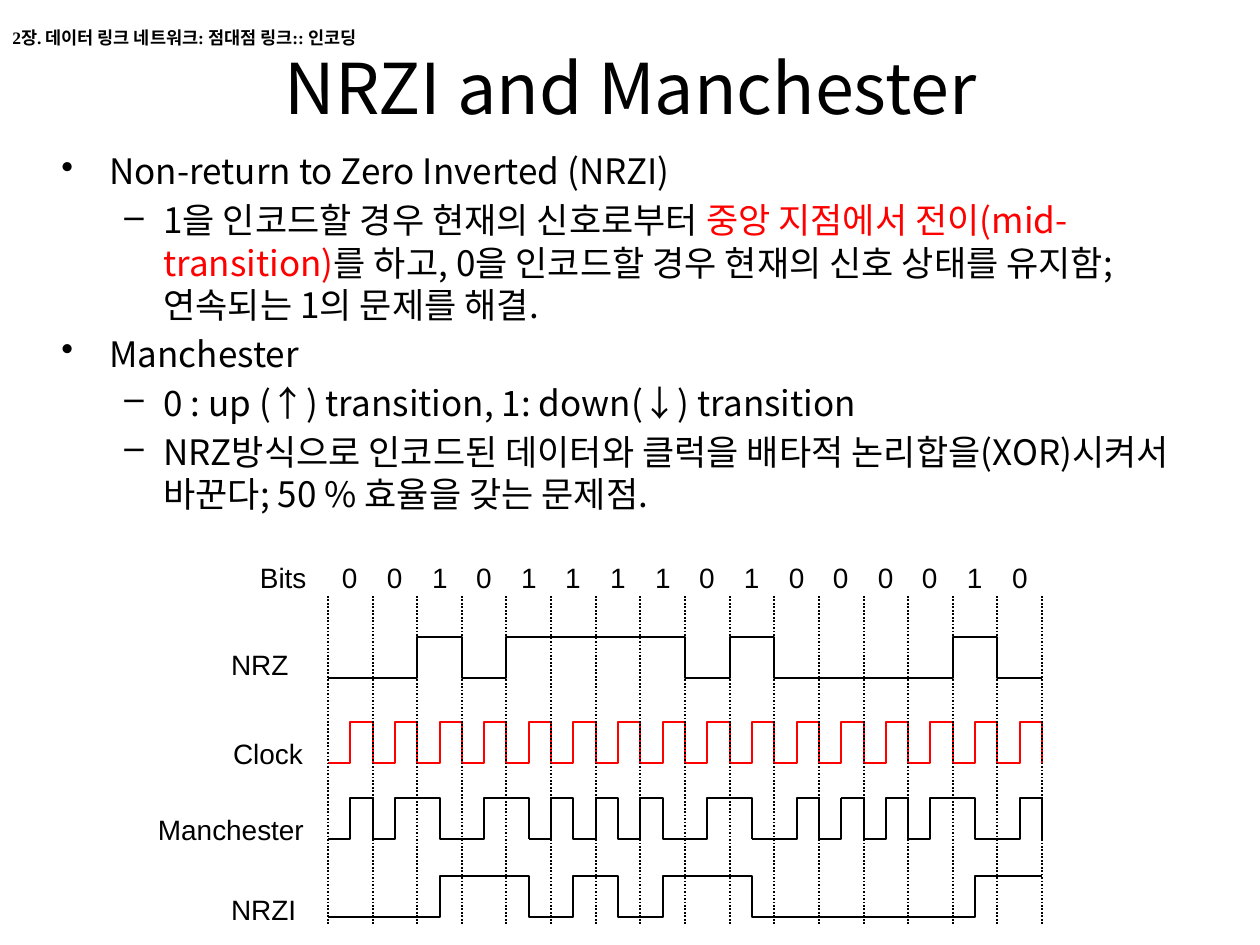
from dataclasses import dataclass
from itertools import pairwise
from typing import Sequence

from lxml.etree import SubElement
from pptx import Presentation
from pptx.dml.color import RGBColor
from pptx.enum.dml import MSO_LINE
from pptx.enum.shapes import MSO_CONNECTOR
from pptx.enum.text import MSO_ANCHOR, MSO_AUTO_SIZE, PP_ALIGN
from pptx.oxml.ns import qn
from pptx.util import Emu, Pt

EMU_PER_PX = 914400 / 126


@dataclass(frozen=True)
class Theme:
    ink: RGBColor = RGBColor(0, 0, 0)
    accent: RGBColor = RGBColor(255, 0, 0)
    text_font: str = "Noto Sans CJK KR"
    label_font: str = "Arial"
    header_font: str = "Times New Roman"
    title_size: int = 40
    body_size: int = 20
    body_line: int = 24
    label_size: int = 16
    header_size: int = 10
    line_width: int = 1


THEME = Theme()


@dataclass(frozen=True)
class Span:
    text: str
    color: RGBColor = THEME.ink


@dataclass(frozen=True)
class Bullet:
    level: int
    spans: tuple[Span, ...]


@dataclass(frozen=True)
class BulletStyle:
    mark: str
    margin: int
    hanging: int


@dataclass(frozen=True)
class Label:
    text: str
    left: int
    top: int
    width: int


@dataclass(frozen=True)
class Waveform:
    """Levels per half bit plus the closing level; cuts are half-bit positions."""
    top: int
    levels: Sequence[int]
    cuts: Sequence[int]
    color: RGBColor = THEME.ink


BULLET_STYLES = (BulletStyle("•", 48, 48), BulletStyle("–", 102, 39))
BULLETS = (
    Bullet(0, (Span("Non-return to Zero Inverted (NRZI)"),)),
    Bullet(1, (
        Span("1을 인코드할 경우 현재의 신호로부터 "),
        Span("중앙 지점에서 전이(mid-transition)", THEME.accent),
        Span("를 하고, 0을 인코드할 경우 현재의 신호 상태를 유지함; 연속되는 1의 문제를 해결."),
    )),
    Bullet(0, (Span("Manchester"),)),
    Bullet(1, (Span("0 : up (↑) transition, 1: down(↓) transition"),)),
    Bullet(1, (Span("NRZ방식으로 인코드된 데이터와 클럭을 배타적 논리합을(XOR)시켜서 바꾼다; "
                    "50 % 효율을 갖는 문제점."),)),
)

BITS = "0010111101000010"
HALVES = 2 * len(BITS)
DIAGRAM_LEFT, DIAGRAM_WIDTH = 328, 714
GRID_TOP, GRID_BOTTOM = 596, 925
WAVE_HEIGHT = 41
BIT_TOP, BIT_WIDTH, LABEL_HEIGHT = 561, 16, 32
LABELS = (
    Label("Bits", 260, BIT_TOP, 48),
    Label("NRZ", 231, 648, 59),
    Label("Clock", 233, 737, 72),
    Label("Manchester", 158, 813, 150),
    Label("NRZI", 231, 893, 67),
)


def px(length: float) -> Emu:
    return Emu(round(length * EMU_PER_PX))


def half_bit_x(position: int) -> int:
    return round(DIAGRAM_LEFT + DIAGRAM_WIDTH * position / HALVES)


def encode_waveforms() -> list[Waveform]:
    nrz = [int(bit) for bit in BITS for _ in range(2)]
    clock = [0, 1] * len(BITS)
    manchester = [data ^ tick for data, tick in zip(nrz, clock)]
    nrzi, level = [], 0
    for bit in BITS:
        nrzi.append(level)
        level ^= int(bit)
        nrzi.append(level)
    whole = (0, HALVES)
    return [
        Waveform(637, nrz + nrz[-1:], whole),
        Waveform(722, clock + [0], range(0, HALVES + 1, 2), THEME.accent),
        Waveform(798, manchester + [0], (0, 2, 9, 12, 19, 23, HALVES)),
        Waveform(876, nrzi + nrzi[-1:], whole),
    ]


def add_run(paragraph, text: str, font_name: str, size: int,
            color: RGBColor = THEME.ink, bold: bool = False) -> None:
    run = paragraph.add_run()
    run.text = text
    run.font.size, run.font.bold = Pt(size), bold
    run.font.color.rgb = color
    run.font.name = font_name
    SubElement(run.font._element, qn("a:ea")).set("typeface", THEME.text_font)


def add_textbox(slide, left: int, top: int, width: int, height: int):
    shape = slide.shapes.add_textbox(px(left), px(top), px(width), px(height))
    shape.text_frame.word_wrap = True
    return shape.text_frame


def add_header(slide) -> None:
    frame = add_textbox(slide, 0, 21, 504, 34)
    paragraph = frame.paragraphs[0]
    paragraph.space_before = Pt(THEME.header_size / 2)
    add_run(paragraph, "2장. 데이터 링크 네트워크: 점대점 링크:: 인코딩",
            THEME.header_font, THEME.header_size, bold=True)


def format_title(slide) -> None:
    title = slide.shapes.title
    title.left, title.top, title.width, title.height = map(px, (95, 39, 1071, 95))
    title.text_frame.vertical_anchor = MSO_ANCHOR.MIDDLE
    paragraph = title.text_frame.paragraphs[0]
    paragraph.alignment = PP_ALIGN.CENTER
    add_run(paragraph, "NRZI and Manchester", THEME.text_font, THEME.title_size)


def add_bullets(slide) -> None:
    frame = add_textbox(slide, 49, 147, 1155, 725)
    frame.margin_top = px(3)
    for index, bullet in enumerate(BULLETS):
        paragraph = frame.add_paragraph() if index else frame.paragraphs[0]
        paragraph.level = bullet.level
        paragraph.line_spacing = Pt(THEME.body_line)
        paragraph.space_before = Pt(THEME.body_size / 5)
        style = BULLET_STYLES[bullet.level]
        properties = paragraph._p.get_or_add_pPr()
        properties.set("marL", str(px(style.margin)))
        properties.set("indent", str(-px(style.hanging)))
        SubElement(properties, qn("a:buChar")).set("char", style.mark)
        for span in bullet.spans:
            add_run(paragraph, span.text, THEME.text_font, THEME.body_size, span.color)


def add_label(slide, label: Label) -> None:
    frame = add_textbox(slide, label.left, label.top, label.width, LABEL_HEIGHT)
    frame.word_wrap = False
    frame.auto_size = MSO_AUTO_SIZE.SHAPE_TO_FIT_TEXT
    frame.margin_left = frame.margin_right = frame.margin_top = frame.margin_bottom = 0
    add_run(frame.paragraphs[0], label.text, THEME.label_font, THEME.label_size)


def add_waveform(slide, wave: Waveform) -> None:
    def point(position: int, level: int) -> tuple[Emu, Emu]:
        return px(half_bit_x(position)), px(wave.top + WAVE_HEIGHT * (1 - level))

    for start, end in pairwise(wave.cuts):
        points = []
        for position in range(start + 1, end + 1):
            before, after = wave.levels[position - 1:position + 1]
            if before != after or position == end:
                points.append(point(position, before))
            if before != after:
                points.append(point(position, after))
        builder = slide.shapes.build_freeform(*point(start, wave.levels[start]))
        builder.add_line_segments(points, close=False)
        shape = builder.convert_to_shape()
        shape.shadow.inherit = False
        shape.fill.background()
        shape.line.color.rgb = wave.color
        shape.line.width = Pt(THEME.line_width)


def add_grid_line(slide, x: int) -> None:
    connector = slide.shapes.add_connector(
        MSO_CONNECTOR.STRAIGHT, px(x), px(GRID_TOP), px(x), px(GRID_BOTTOM))
    connector.line.color.rgb = THEME.ink
    connector.line.width = Pt(THEME.line_width)
    connector.line.dash_style = MSO_LINE.ROUND_DOT
    SubElement(connector._element.spPr, qn("a:effectLst"))


def main() -> None:
    presentation = Presentation()
    presentation.slide_width, presentation.slide_height = px(1260), px(945)
    slide = presentation.slides.add_slide(presentation.slide_layouts[5])
    format_title(slide)
    add_bullets(slide)
    for label in LABELS:
        add_label(slide, label)
    for index, bit in enumerate(BITS):
        left = half_bit_x(2 * index + 1) - BIT_WIDTH // 2
        add_label(slide, Label(bit, left, BIT_TOP, BIT_WIDTH))
    for wave in encode_waveforms():
        add_waveform(slide, wave)
    for position in range(0, HALVES + 1, 2):
        add_grid_line(slide, half_bit_x(position))
    add_header(slide)
    presentation.save("out.pptx")


if __name__ == "__main__":
    main()
